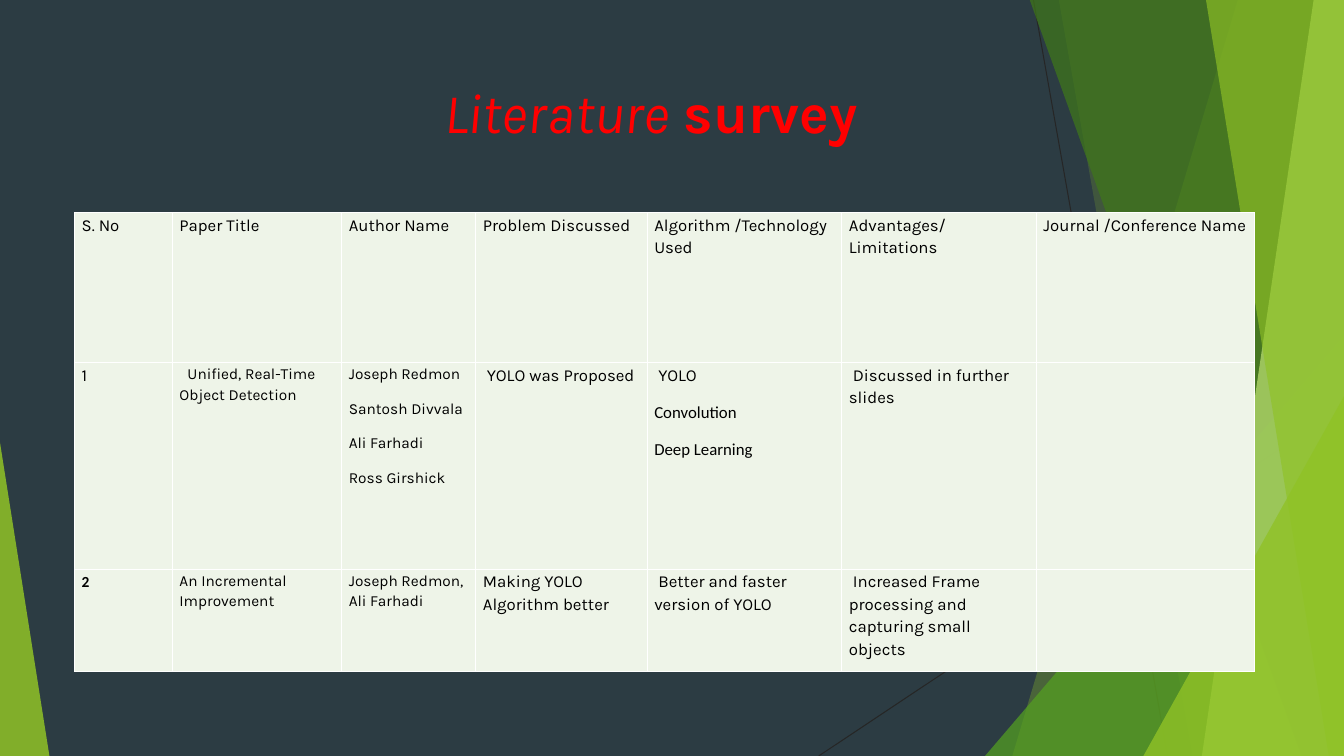
"""Build the literature survey slide with its table of papers."""
from dataclasses import dataclass

from lxml.etree import SubElement
from pptx import Presentation
from pptx.dml.color import RGBColor
from pptx.enum.shapes import MSO_CONNECTOR, MSO_SHAPE
from pptx.enum.text import MSO_ANCHOR, PP_ALIGN
from pptx.oxml import parse_xml
from pptx.oxml.ns import nsdecls, qn
from pptx.util import Inches, Pt


@dataclass(frozen=True)
class Theme:
    """Colours, fonts and type sizes."""
    back: str = "2C3C43"
    title: str = "FF0000"
    text: str = "000000"
    cell: str = "EEF4E8"
    rule: str = "FFFFFF"
    line: str = "262626"
    lime: str = "90C226"
    green: str = "54A021"
    dark: str = "3F7819"
    pale: str = "C0E474"
    font: str = "Karla"
    plain: str = "Calibri"
    head: int = 40
    body: int = 12
    small: int = 11


THEME = Theme()


@dataclass(frozen=True)
class Para:
    """One paragraph of a table cell."""
    text: str
    size: int = THEME.body
    font: str = THEME.font
    bold: bool = False
    indent: float = 0


def small(text, **more):
    """Make a paragraph in the small size."""
    return Para(text, THEME.small, **more)


WIDE, HIGH = 13.33, 7.5
TITLE = [("Literature", False, True), (" survey", True, False)]
TITLE_BOX = (0.74, 0.67, 11.43, 0.96)
TABLE_AT = (0.74, 2.11)
COLS = [0.97, 1.68, 1.33, 1.7, 1.93, 1.93, 2.16]
ROWS = [1.49, 2.05, 1.01]
STEP = 0.04

HEADS = ["S. No", "Paper Title", "Author Name", "Problem Discussed",
         "Algorithm /Technology Used", "Advantages/Limitations",
         "Journal /Conference Name"]
AUTHORS = ["Joseph Redmon", "Santosh Divvala", "Ali Farhadi", "Ross Girshick"]
CELLS = [
    [[Para(head)] for head in HEADS],
    [[Para("1")],
     [small("Unified, Real-Time Object Detection", indent=2 * STEP)],
     [small(name) for name in AUTHORS],
     [Para("YOLO was Proposed", indent=STEP)],
     [Para("YOLO", indent=STEP),
      Para("Convolution", font=THEME.plain),
      Para("Deep Learning", font=THEME.plain)],
     [Para("Discussed in further slides", indent=STEP)],
     []],
    [[small("2", font=THEME.plain, bold=True)],
     [small("An Incremental Improvement")],
     [small("Joseph Redmon, Ali Farhadi")],
     [Para("Making YOLO Algorithm better")],
     [Para("Better and faster version of YOLO", indent=STEP)],
     [Para("Increased Frame processing and capturing small objects",
           indent=STEP)],
     []],
]

LINES = [(10.25, 0, 11.58, HIGH), (WIDE, 4.03, 8.12, HIGH)]
DECOR = [
    ("band", (12.28, 10.04), THEME.lime, 30),
    ("band", (10.5, 11.83), THEME.lime, 20),
    ("peak", (9.77, 3.33, 3.56, 4.17, 1), THEME.green, 72),
    ("band", (10.21, 12.91), THEME.dark, 70),
    ("band", (13.03, 11.92), THEME.pale, 70),
    ("band", (11.96, 13.18), THEME.lime, 65),
    ("peak", (11.34, 3.93, 1.99, 3.57, 1), THEME.lime, 80),
    ("peak", (0, 4.39, 0.49, 3.11, 0), THEME.lime, 85),
]


def rgb(code):
    return RGBColor.from_string(code)


def tint(shape, color, alpha):
    shape.shadow.inherit = False
    shape.line.fill.background()
    shape.fill.solid()
    shape.fill.fore_color.rgb = rgb(color)
    node = shape.fill._xPr.find(qn("a:solidFill"))[0]
    SubElement(node, qn("a:alpha")).set("val", str(alpha * 1000))


def band(shapes, top, foot):
    pen = shapes.build_freeform(Inches(top), Inches(-0.01))
    ends = [(WIDE, -0.01), (WIDE, HIGH), (foot, HIGH)]
    pen.add_line_segments([(Inches(x), Inches(y)) for x, y in ends])
    return pen.convert_to_shape()


def peak(shapes, left, top, width, height, tip):
    shape = shapes.add_shape(MSO_SHAPE.ISOSCELES_TRIANGLE,
                             *map(Inches, (left, top, width, height)))
    shape.adjustments[0] = tip
    return shape


def draw_decor(shapes):
    for ends in LINES:
        line = shapes.add_connector(MSO_CONNECTOR.STRAIGHT,
                                    *map(Inches, ends))
        line.line.color.rgb = rgb(THEME.line)
        line.line.width = Pt(0.75)
        SubElement(line._element.spPr, qn("a:effectLst"))
    makers = {"band": band, "peak": peak}
    for kind, args, color, alpha in DECOR:
        tint(makers[kind](shapes, *args), color, alpha)


def draw_title(shapes):
    title = shapes.title
    shapes._spTree.append(title._element)
    title.left, title.top, title.width, title.height = map(Inches, TITLE_BOX)
    frame = title.text_frame
    frame.vertical_anchor = MSO_ANCHOR.MIDDLE
    frame.margin_bottom = Inches(0.15)
    para = frame.paragraphs[0]
    para.alignment = PP_ALIGN.CENTER
    para.font.size, para.font.name = Pt(THEME.head), THEME.font
    para.font.color.rgb = rgb(THEME.title)
    for text, bold, italic in TITLE:
        run = para.add_run()
        run.text = text
        run.font.bold, run.font.italic = bold, italic


def fill_cell(cell, paras):
    cell.margin_left = cell.margin_right = Inches(0.07)
    cell.margin_top = cell.margin_bottom = 0
    cell.fill.solid()
    cell.fill.fore_color.rgb = rgb(THEME.cell)
    for spot, side in enumerate("LRTB"):
        edge = parse_xml(
            f'<a:ln{side} {nsdecls("a")} w="{Pt(1)}"><a:solidFill>'
            f'<a:srgbClr val="{THEME.rule}"/></a:solidFill></a:ln{side}>')
        cell._tc.tcPr.insert(spot, edge)
    frame = cell.text_frame
    for spot, item in enumerate(paras):
        para = frame.add_paragraph() if spot else frame.paragraphs[0]
        para.text = item.text
        para.line_spacing, para.space_after = 1.15, Pt(10)
        font = para.font
        font.size, font.name, font.bold = Pt(item.size), item.font, item.bold
        font.color.rgb = rgb(THEME.text)
        if item.indent:
            para._p.get_or_add_pPr().set("indent", str(Inches(item.indent)))


def draw_table(shapes):
    box = (*TABLE_AT, sum(COLS), sum(ROWS))
    table = shapes.add_table(len(ROWS), len(COLS), *map(Inches, box)).table
    table.first_row = table.horz_banding = False
    for col, width in zip(table.columns, COLS):
        col.width = Inches(width)
    for row, height, texts in zip(table.rows, ROWS, CELLS):
        row.height = Inches(height)
        for cell, paras in zip(row.cells, texts):
            fill_cell(cell, paras)


def main():
    deck = Presentation()
    deck.slide_width, deck.slide_height = Inches(WIDE), Inches(HIGH)
    slide = deck.slides.add_slide(deck.slide_layouts[5])
    slide.background.fill.solid()
    slide.background.fill.fore_color.rgb = rgb(THEME.back)
    draw_decor(slide.shapes)
    draw_title(slide.shapes)
    draw_table(slide.shapes)
    deck.save("out.pptx")


if __name__ == "__main__":
    main()
